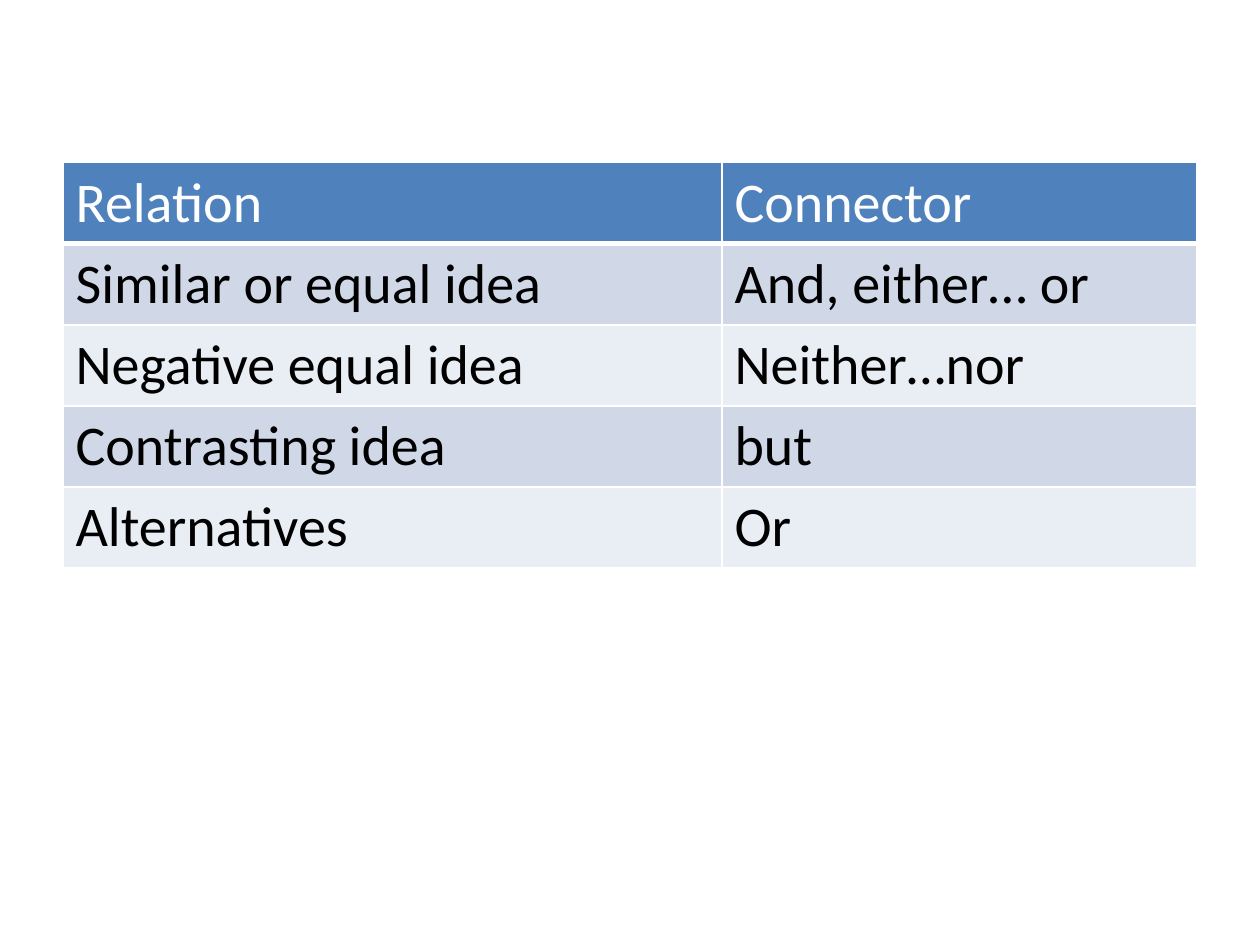
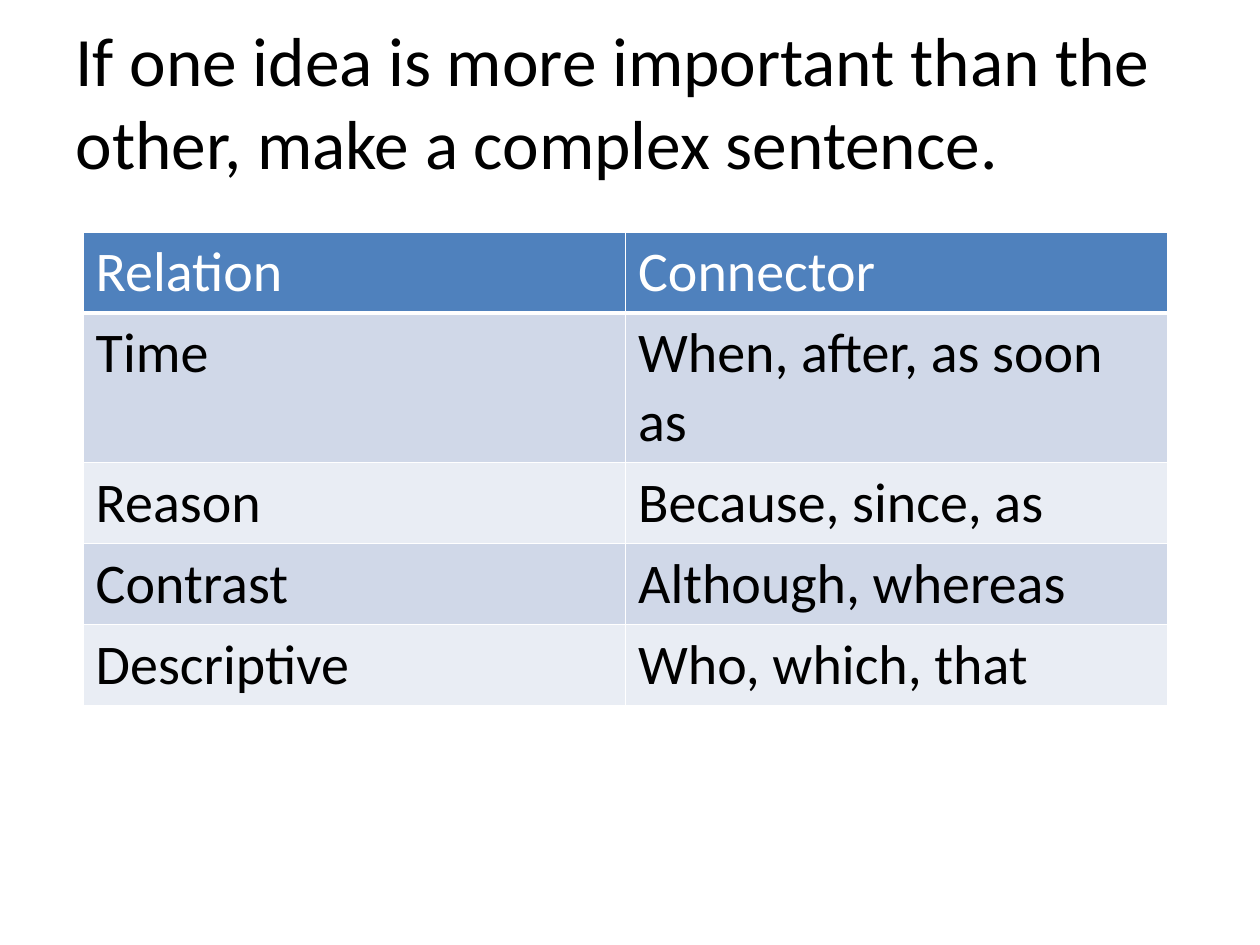
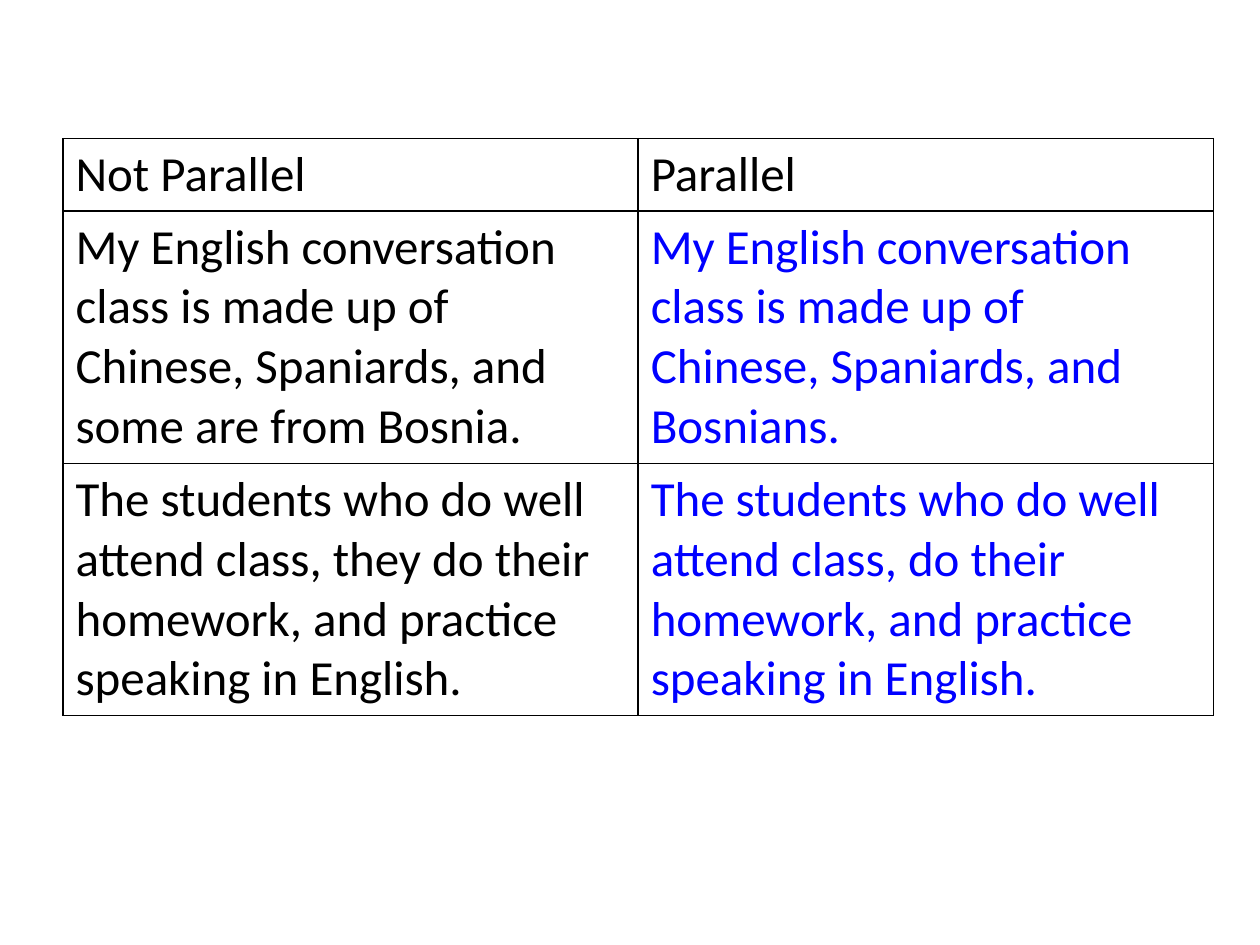
from dataclasses import dataclass

from lxml import etree
from pptx import Presentation
from pptx import util as u
from pptx.dml.color import RGBColor
from pptx.enum import text
from pptx.oxml.ns import qn

SLIDE_W, SLIDE_H = u.Inches(10), u.Inches(7.5)
TITLE_ONLY, BLANK = 5, 6


@dataclass(frozen=True)
class Theme:
    font: str = "Calibri"
    title_size: float = 39.6
    relation_size: float = 32
    example_size: float = 28
    black: str = "000000"
    white: str = "FFFFFF"
    header: str = "4F81BD"
    bands: tuple[str, str] = ("D0D8E8", "E9EDF4")
    corrected: str = "0000FF"
    line: float = 1
    header_line: float = 3


THEME = Theme()


@dataclass(frozen=True)
class Grid:
    """A table's place; all lengths are percent of the slide's width or height."""
    left: float
    top: float
    height: float
    cols: tuple[float, ...]
    rows: tuple[float, ...]


@dataclass(frozen=True)
class CellStyle:
    size: float
    color: str
    fill: str | None
    border: str
    bottom: float = THEME.line


def across(percent: float) -> int:
    return round(SLIDE_W * percent / 100)


def down(percent: float) -> int:
    return round(SLIDE_H * percent / 100)


def add_run(p, words: str, size: float, color: str) -> None:
    r = p.add_run()
    r.text = words
    r.font.name = THEME.font
    r.font.size = u.Pt(size)
    r.font.bold = False
    r.font.color.rgb = RGBColor.from_string(color)


def add_borders(cell, color: str, bottom: float) -> None:
    tc_pr = cell._tc.get_or_add_tcPr()
    for side in "LRTB":
        width = bottom if side == "B" else THEME.line
        ln = etree.SubElement(tc_pr, qn(f"a:ln{side}"), w=str(u.Pt(width)))
        fill = etree.SubElement(ln, qn("a:solidFill"))
        etree.SubElement(fill, qn("a:srgbClr"), val=color)


def format_cell(cell, words: str, style: CellStyle) -> None:
    add_borders(cell, style.border, style.bottom)
    if style.fill:
        cell.fill.solid()
        cell.fill.fore_color.rgb = RGBColor.from_string(style.fill)
    else:
        cell.fill.background()
    add_run(cell.text_frame.paragraphs[0], words, style.size, style.color)


def relation_style(row: int, col: int) -> CellStyle:
    if row == 0:
        return CellStyle(THEME.relation_size, THEME.white, THEME.header,
                         THEME.white, THEME.header_line)
    return CellStyle(THEME.relation_size, THEME.black,
                     THEME.bands[(row - 1) % 2], THEME.white)


def example_style(row: int, col: int) -> CellStyle:
    color = THEME.corrected if row and col else THEME.black
    return CellStyle(THEME.example_size, color, None, THEME.black)


def add_table(slide, grid: Grid, lines: list[tuple[str, str]], style_of) -> None:
    frame = slide.shapes.add_table(
        len(grid.rows), len(grid.cols), across(grid.left), down(grid.top),
        across(sum(grid.cols)), down(grid.height))
    table = frame.table
    table.first_row = table.horz_banding = False
    for column, width in zip(table.columns, grid.cols):
        column.width = across(width)
    for row, height in zip(table.rows, grid.rows):
        row.height = down(height)
    frame.height = down(grid.height)
    for i, line in enumerate(lines):
        for j, words in enumerate(line):
            format_cell(table.cell(i, j), words, style_of(i, j))


def set_title(slide, words: str) -> None:
    sp = slide.shapes.title
    sp.left, sp.top = across(5), down(9.33)
    sp.width, sp.height = across(90), down(11.33)
    tf = sp.text_frame
    tf.word_wrap = True
    tf.auto_size = text.MSO_AUTO_SIZE.NONE
    tf.vertical_anchor = text.MSO_ANCHOR.BOTTOM
    tf.margin_bottom = u.Inches(0.09)
    p = tf.paragraphs[0]
    p.alignment = text.PP_ALIGN.LEFT
    add_run(p, words, THEME.title_size, THEME.black)


RELATION_HEADER = ("Relation", "Connector")
RELATION_ROWS = (5.47,) * 5

COMPOUND = [
    RELATION_HEADER,
    ("Similar or equal idea", "And, either… or"),
    ("Negative equal idea", "Neither…nor"),
    ("Contrasting idea", "but"),
    ("Alternatives", "Or"),
]
COMPLEX = [
    RELATION_HEADER,
    ("Time", "When, after, as soon as"),
    ("Reason", "Because, since, as"),
    ("Contrast", "Although, whereas"),
    ("Descriptive", "Who, which, that"),
]
PARALLEL = [
    ("Not Parallel", "Parallel"),
    ("My English conversation class is made up of Chinese, Spaniards, and some are from Bosnia.",
     "My English conversation class is made up of Chinese, Spaniards, and Bosnians."),
    ("The students who do well attend class, they do their homework, and practice speaking in English.",
     "The students who do well attend class, do their homework, and practice speaking in English."),
]


def main() -> None:
    prs = Presentation()
    prs.slide_width, prs.slide_height = SLIDE_W, SLIDE_H

    compound = prs.slides.add_slide(prs.slide_layouts[BLANK])
    add_table(compound, Grid(5, 17.2, 42.27, (52.3, 37.7), RELATION_ROWS),
              COMPOUND, relation_style)

    complex_slide = prs.slides.add_slide(prs.slide_layouts[TITLE_ONLY])
    set_title(complex_slide,
              "If one idea is more important than the other, make a complex sentence.")
    add_table(complex_slide, Grid(6.6, 24.53, 49.33, (43.05,) * 2, RELATION_ROWS),
              COMPLEX, relation_style)

    parallel = prs.slides.add_slide(prs.slide_layouts[BLANK])
    add_table(parallel, Grid(5, 14.67, 60, (45.65,) * 2, (6.67, 16.53, 21.47)),
              PARALLEL, example_style)

    prs.save("out.pptx")


if __name__ == "__main__":
    main()
